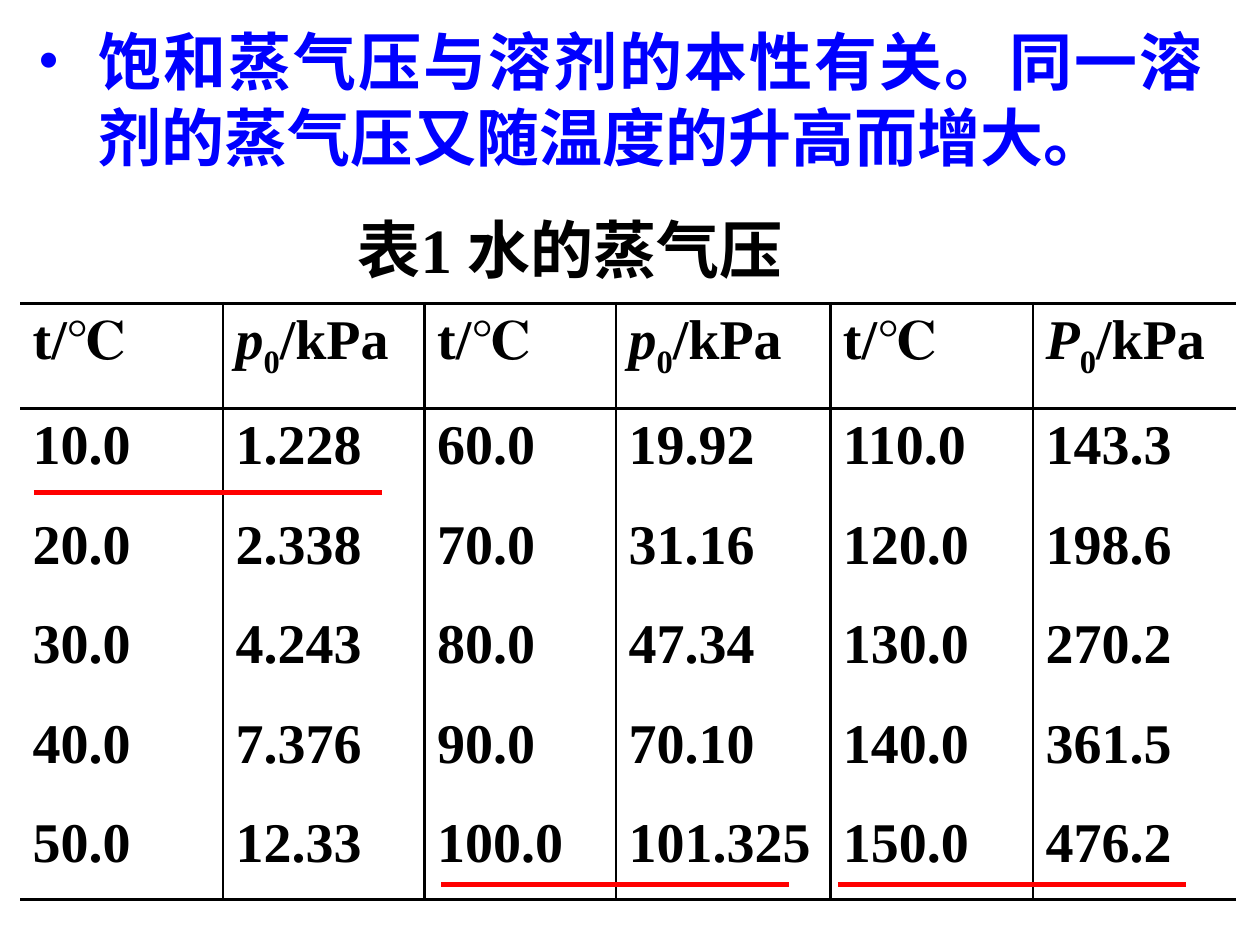
"""Build the slide on the saturated vapour pressure of water."""
from lxml import etree
from pptx import Presentation
from pptx.dml.color import RGBColor
from pptx.enum import shapes, text
from pptx.oxml import ns
from pptx.util import Inches, Pt

BLACK = RGBColor(0, 0, 0)
WHITE = RGBColor(255, 255, 255)
BLUE = RGBColor(0, 0, 255)
RED = RGBColor(255, 0, 0)

COLS = [1.61, 1.6, 1.52, 1.7, 1.61, 1.61]
ROWS = [0.83, 0.79, 0.79, 0.79, 0.79, 0.74]
COL_LINES = [0, 1, 2.25, 1, 2.25, 1, 0]
ROW_LINES = [2.25, 2.25, 0, 0, 0, 0, 2.25]
DATA = [
    ["t/℃", "p0/kPa", "t/℃", "p0/kPa", "t/℃", "P0/kPa"],
    ["10.0", "1.228", "60.0", "19.92", "110.0", "143.3"],
    ["20.0", "2.338", "70.0", "31.16", "120.0", "198.6"],
    ["30.0", "4.243", "80.0", "47.34", "130.0", "270.2"],
    ["40.0", "7.376", "90.0", "70.10", "140.0", "361.5"],
    ["50.0", "12.33", "100.0", "101.325", "150.0", "476.2"],
]


def style(p, size, color):
    for r in p.runs:
        r.font.name = "Times New Roman"
        r.font.size = Pt(size)
        r.font.bold = True
        r.font.color.rgb = color


def border(tcPr, side, width):
    ln = etree.SubElement(tcPr, ns.qn("a:ln" + side), w=str(Pt(width)))
    if width:
        fill = etree.SubElement(ln, ns.qn("a:solidFill"))
        etree.SubElement(fill, ns.qn("a:srgbClr"), val=str(BLACK))
    else:
        etree.SubElement(ln, ns.qn("a:noFill"))


prs = Presentation()
prs.slide_width, prs.slide_height = Inches(10), Inches(7.5)
s = prs.slides.add_slide(prs.slide_layouts[6])

tbl = s.shapes.add_table(len(ROWS), len(COLS), Inches(0.16), Inches(2.41),
                         Inches(sum(COLS)), Inches(sum(ROWS))).table
tbl.horz_banding = False
for col, width in zip(tbl.columns, COLS):
    col.width = Inches(width)
for i, values in enumerate(DATA):
    tbl.rows[i].height = Inches(ROWS[i])
    for j, value in enumerate(values):
        cell = tbl.cell(i, j)
        p = cell.text_frame.paragraphs[0]
        if value.endswith("0/kPa"):
            for part in (value[0], "0", "/kPa"):
                p.add_run().text = part
            p.runs[0].font.italic = True
            p.runs[1].font._element.set("baseline", "-25000")
        else:
            p.text = value
        style(p, 32, BLACK)
        tcPr = cell._tc.get_or_add_tcPr()
        border(tcPr, "L", COL_LINES[j])
        border(tcPr, "R", COL_LINES[j + 1])
        border(tcPr, "T", ROW_LINES[i])
        border(tcPr, "B", ROW_LINES[i + 1])
        cell.fill.solid()
        cell.fill.fore_color.rgb = WHITE

sp = s.shapes.add_shape(shapes.MSO_SHAPE.RECTANGLE, Inches(2.4), Inches(1.62),
                        Inches(4.25), Inches(0.7))
sp.shadow.inherit = False
sp.fill.solid()
sp.fill.fore_color.rgb = WHITE
sp.line.fill.background()
tf = sp.text_frame
tf.vertical_anchor = text.MSO_ANCHOR.TOP
tf.text = "表1 水的蒸气压"
p = tf.paragraphs[0]
p.alignment = text.PP_ALIGN.CENTER
style(p, 36, BLACK)

sp = s.shapes.add_textbox(Inches(0.2), Inches(0.13), Inches(9.45), Inches(1.3))
tf = sp.text_frame
tf.word_wrap = True
tf.text = "饱和蒸气压与溶剂的本性有关。同一溶剂的蒸气压又随温度的升高而增大。"
p = tf.paragraphs[0]
p.alignment = text.PP_ALIGN.JUSTIFY
style(p, 36, BLUE)
pPr = p._p.get_or_add_pPr()
pPr.set("marL", str(Inches(0.48)))
pPr.set("indent", str(Inches(-0.48)))
etree.SubElement(pPr, ns.qn("a:buFont"), typeface="Times New Roman")
etree.SubElement(pPr, ns.qn("a:buChar"), char="•")

for x, y in [(0.27, 3.91), (3.5, 7.02), (6.65, 7.02)]:
    line = s.shapes.add_connector(shapes.MSO_CONNECTOR.STRAIGHT, Inches(x), Inches(y),
                                  Inches(x + 2.76), Inches(y))
    line.line.color.rgb = RED
    line.line.width = Pt(3)
    etree.SubElement(line._element.spPr, ns.qn("a:effectLst"))

prs.save("out.pptx")
